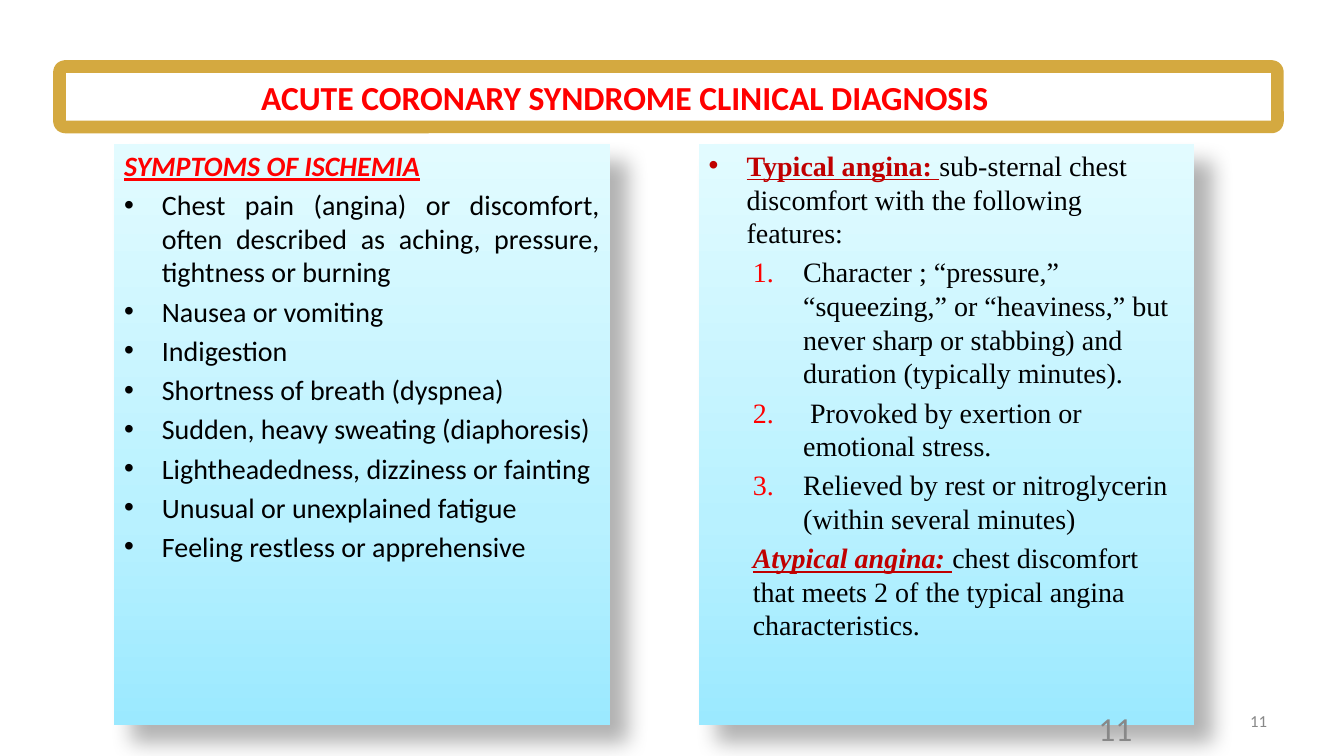
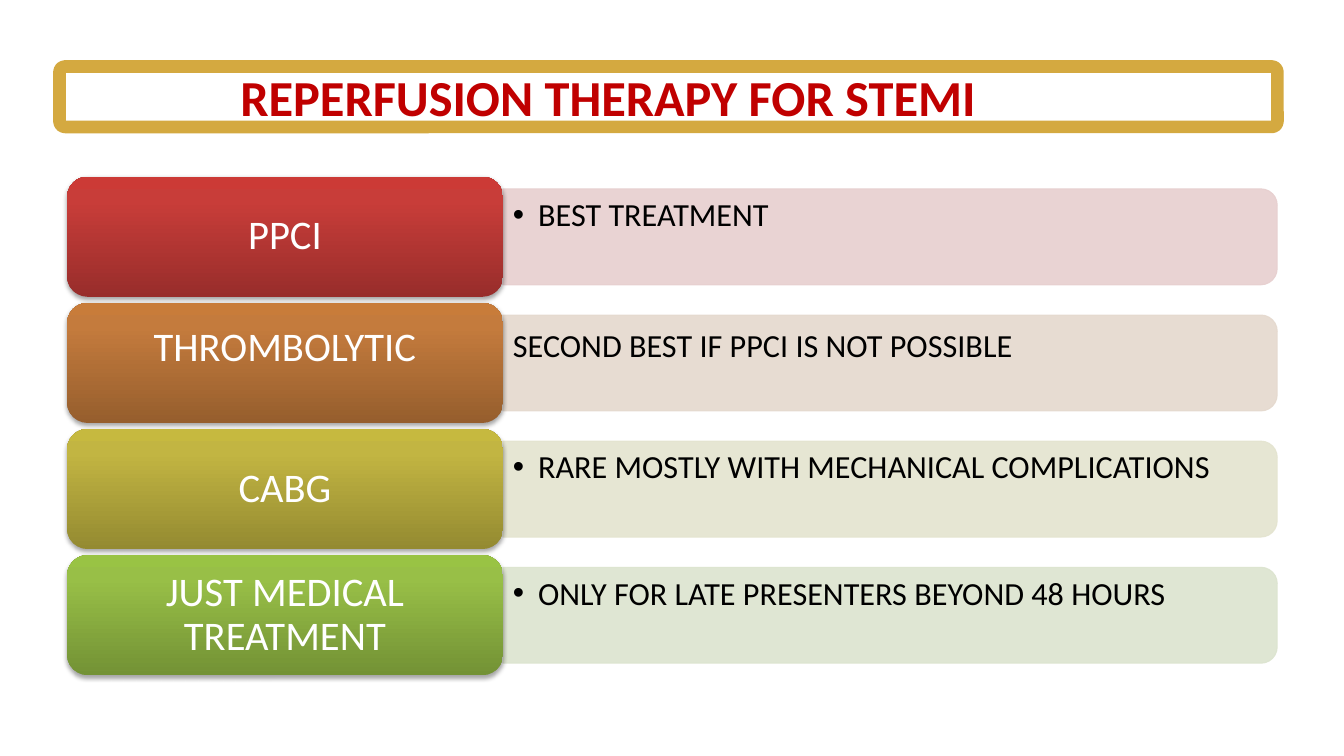
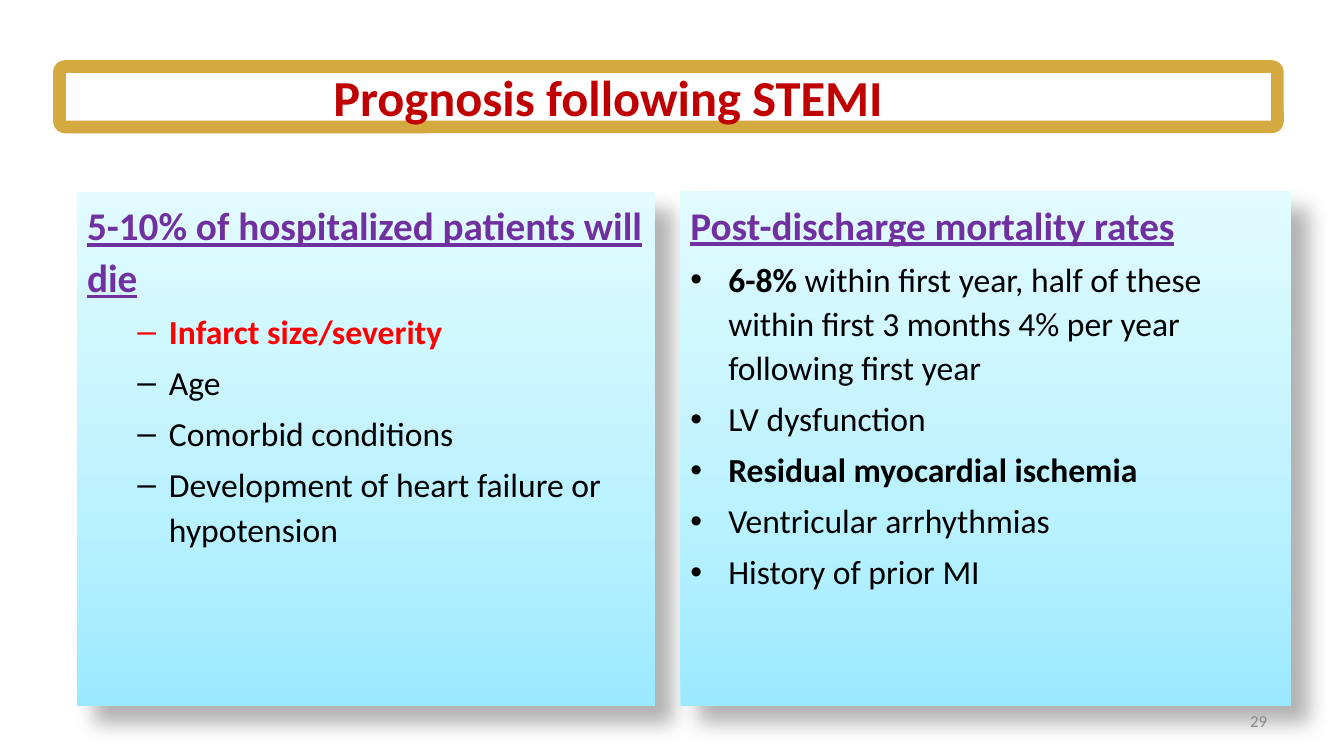
from dataclasses import dataclass
from typing import Optional

from lxml.etree import SubElement
from pptx import Presentation
from pptx.dml.color import RGBColor
from pptx.enum.shapes import MSO_SHAPE
from pptx.enum.text import MSO_ANCHOR, MSO_AUTO_SIZE, PP_ALIGN
from pptx.oxml.ns import qn
from pptx.util import Pt

LEFT, MID, RIGHT, JUST = PP_ALIGN.LEFT, PP_ALIGN.CENTER, PP_ALIGN.RIGHT, PP_ALIGN.JUSTIFY
TOP, CENTRE = MSO_ANCHOR.TOP, MSO_ANCHOR.MIDDLE
ROUND, TAB = MSO_SHAPE.ROUNDED_RECTANGLE, MSO_SHAPE.ROUND_2_SAME_RECTANGLE
FIXED = MSO_AUTO_SIZE.NONE

BLACK = RGBColor(0x00, 0x00, 0x00)
WHITE = RGBColor(0xFF, 0xFF, 0xFF)
RED = RGBColor(0xFF, 0x00, 0x00)
DARK = RGBColor(0xC0, 0x00, 0x00)
PURPLE = RGBColor(0x70, 0x30, 0xA0)
GREY = RGBColor(0x88, 0x88, 0x88)
GOLD = RGBColor(0xD4, 0xA9, 0x40)
AQUA = [(0, RGBColor(0x9B, 0xE9, 0xFF)), (35, RGBColor(0xB8, 0xF1, 0xFF)),
        (100, RGBColor(0xE2, 0xFB, 0xFF))]

SANS, SERIF = "Calibri", "Times New Roman"


@dataclass(frozen=True)
class Mark:
    tag: str
    attrs: dict
    left: float
    hang: float
    font: str = "Arial"
    hue: Optional[RGBColor] = None


DOT = Mark("a:buChar", {"char": "•"}, 27, 27)
DASH = Mark("a:buChar", {"char": "–"}, 58.5, 22.5)
SMALL = Mark("a:buChar", {"char": "•"}, 18, 18)
NUM = Mark("a:buAutoNum", {"type": "arabicPeriod"}, 67.5, 36, SERIF, RED)
PLAIN = Mark("a:buNone", {}, 0, 0)
INSET = Mark("a:buNone", {}, 31.5, 0)


@dataclass
class Line:
    """A paragraph; each run is (text, letters from "biu", colour)."""
    runs: list
    size: float
    mark: Mark = PLAIN
    align: PP_ALIGN = LEFT
    face: str = SANS


def line(text, size, mark=PLAIN, align=LEFT, style="", hue=BLACK):
    return Line([(text, style, hue)], size, mark, align)


def place(shape, box):
    shape.left, shape.top, shape.width, shape.height = map(Pt, box)


def dress(font, style, hue):
    font.bold = "b" in style
    font.italic = "i" in style
    font.underline = "u" in style
    font.color.rgb = hue


def bullet(para, mark, hue):
    props = para._p.get_or_add_pPr()
    props.set("marL", str(Pt(mark.left)))
    props.set("indent", str(Pt(-mark.hang)))
    if mark.hang:
        tint = SubElement(props, qn("a:buClr"))
        SubElement(tint, qn("a:srgbClr"), val=str(mark.hue or hue))
        SubElement(props, qn("a:buFont"), typeface=mark.font)
    SubElement(props, qn(mark.tag), mark.attrs)


def write(frame, lines, gap=0, lead=1.0, anchor=TOP):
    frame.word_wrap = True
    frame.auto_size = FIXED
    frame.vertical_anchor = anchor
    for i, item in enumerate(lines):
        para = frame.add_paragraph() if i else frame.paragraphs[0]
        bullet(para, item.mark, item.runs[0][2])
        para.alignment = item.align
        para.line_spacing = lead
        para.space_before = Pt(gap if i else 0)
        para.font.name = item.face
        para.font.size = Pt(item.size)
        for text, style, hue in item.runs:
            run = para.add_run()
            run.text = text
            dress(para.font if len(item.runs) == 1 else run.font, style, hue)


def blend(shape, stops):
    """Fill upwards with (percent, colour) stops and drop the outline."""
    shape.fill.gradient()
    shape.fill.gradient_angle = 90
    bands = shape.element.spPr.find(".//" + qn("a:gsLst"))
    for old in list(bands):
        bands.remove(old)
    for at, hue in stops:
        stop = SubElement(bands, qn("a:gs"), pos=str(at * 1000))
        SubElement(stop, qn("a:srgbClr"), val=str(hue))
    shape.line.fill.background()


def shade(shape, alpha, blur, dist, angle):
    shape.shadow.inherit = False
    effects = shape.element.spPr.find(qn("a:effectLst"))
    outer = SubElement(effects, qn("a:outerShdw"), blurRad=str(Pt(blur)),
                       dist=str(Pt(dist)), dir=str(angle * 60000),
                       algn="tl", rotWithShape="0")
    tint = SubElement(outer, qn("a:srgbClr"), val=str(BLACK))
    SubElement(tint, qn("a:alpha"), val=str(alpha * 1000))


def block(slide, kind, box, round_by):
    shape = slide.shapes.add_shape(kind, *map(Pt, box))
    shape.adjustments[0] = round_by
    shape.shadow.inherit = False
    return shape


def label(slide, box, item, lead=1.0, anchor=TOP):
    text = slide.shapes.add_textbox(*map(Pt, box))
    write(text.text_frame, [item], lead=lead, anchor=anchor)


def frame_titles(deck, slide):
    """Put the gold title frame on the master, so all slides show it."""
    band = block(slide, ROUND, (42.5, 47.5, 870, 43.2), 0.09)
    band.fill.solid()
    band.fill.fore_color.rgb = WHITE
    band.line.color.rgb = GOLD
    band.line.width = Pt(9)
    deck.slide_master.shapes.element.insert(2, band.element)


def head(slide, text, size, hue, box=(42.5, 47.5, 784, 43.2)):
    title = slide.shapes.title
    place(title, box)
    write(title.text_frame, [line(text, size, PLAIN, MID, "b", hue)], anchor=CENTRE)


def panel(slide, idx, box, lines, gap, lead=1.0):
    body = slide.placeholders[idx]
    place(body, box)
    blend(body, AQUA)
    shade(body, 30, 15, 18, 45)
    write(body.text_frame, lines, gap, lead)


def number(slide, text, size=12, box=(688.3, 500.5, 224, 28.8)):
    label(slide, box, line(text, size, PLAIN, RIGHT, "", GREY), anchor=CENTRE)


def option(slide, top, name, note, mark, deep, main, light, pale):
    """One treatment: a pale bar with a note and a glossy name tile."""
    wide, high = 553, 68.5
    x, y = 359.3, top + 8.7
    bar = block(slide, TAB, (x + (wide - high) / 2, y - (wide - high) / 2, high, wide), 0.17)
    bar.rotation = 90
    bar.fill.solid()
    bar.fill.fore_color.rgb = pale
    bar.line.color.rgb = pale
    bar.line.width = Pt(0.75)
    for tint in bar.element.spPr.iter(qn("a:srgbClr")):
        SubElement(tint, qn("a:alpha"), val="90000")
    label(slide, (x, y + 3.6, 549.4, 62), line(note, 23, mark),
          0.9 if mark is SMALL else 1.0)

    tile = block(slide, ROUND, (48, top, 311.3, 85.8), 0.17)
    blend(tile, [(0, deep), (80, main), (100, light)])
    shade(tile, 35, 3.1, 1.8, 90)
    text = tile.text_frame
    text.margin_left = text.margin_right = Pt(12.5)
    text.margin_top = text.margin_bottom = Pt(8.5)
    raised = mark is PLAIN
    write(text, [line(name, 29, PLAIN, MID, "", WHITE)],
          lead=1.0 if raised else 0.9, anchor=TOP if raised else CENTRE)


def diagnosis(slide):
    head(slide, "ACUTE CORONARY SYNDROME CLINICAL DIAGNOSIS", 24, RED,
         (15.8, 47.5, 861, 43.2))
    number(slide, "11")
    signs = [line("SYMPTOMS OF ISCHEMIA", 20, PLAIN, JUST, "biu", RED)]
    signs += [line(text, 20, DOT, JUST) for text in (
        "Chest pain (angina) or discomfort, often described as aching, "
        "pressure, tightness or burning",
        "Nausea or vomiting",
        "Indigestion")]
    signs += [line(text, 20, DOT) for text in (
        "Shortness of breath (dyspnea)",
        "Sudden, heavy sweating (diaphoresis)",
        "Lightheadedness, dizziness or fainting",
        "Unusual or unexplained fatigue",
        "Feeling restless or apprehensive")]
    kinds = [Line([("Typical angina: ", "bu", DARK),
                   ("sub-sternal chest discomfort with the following features:",
                    "", BLACK)], 20, DOT, face=SERIF)]
    kinds += [Line([(text, "", BLACK)], 20, NUM, face=SERIF) for text in (
        "Character ; “pressure,” “squeezing,” or “heaviness,” but never sharp "
        "or stabbing) and duration (typically minutes).",
        " Provoked by exertion or emotional stress.",
        "Relieved by rest or nitroglycerin (within several minutes)")]
    kinds.append(Line([("Atypical angina: ", "biu", DARK),
                       ("chest discomfort that meets 2 of the typical angina "
                        "characteristics.", "", BLACK)], 20, INSET, face=SERIF))
    panel(slide, 1, (81.4, 102.5, 354.2, 415.4), signs, 4)
    panel(slide, 2, (499, 102.5, 354.2, 415.4), kinds, 4)
    number(slide, "11", 24, (648, 505.5, 168, 28.8))


def therapy(slide):
    head(slide, "REPERFUSION THERAPY FOR STEMI", 36, DARK)
    options = [
        ("PPCI", "BEST TREATMENT", SMALL,
         RGBColor(0x98, 0x2D, 0x2B), RGBColor(0xC8, 0x3D, 0x39),
         RGBColor(0xCC, 0x3A, 0x36), RGBColor(0xE7, 0xCF, 0xCF)),
        ("THROMBOLYTIC", "SECOND BEST IF PPCI IS NOT POSSIBLE", PLAIN,
         RGBColor(0x96, 0x5E, 0x2D), RGBColor(0xC4, 0x7B, 0x3D),
         RGBColor(0xC8, 0x7C, 0x3A), RGBColor(0xE5, 0xD9, 0xCE)),
        ("CABG", "RARE MOSTLY WITH MECHANICAL COMPLICATIONS", SMALL,
         RGBColor(0x94, 0x8A, 0x31), RGBColor(0xC2, 0xB5, 0x42),
         RGBColor(0xC6, 0xB9, 0x3F), RGBColor(0xE4, 0xE4, 0xCF)),
        ("JUST MEDICAL TREATMENT", "ONLY FOR LATE PRESENTERS BEYOND 48 HOURS", SMALL,
         RGBColor(0x73, 0x92, 0x35), RGBColor(0x98, 0xBF, 0x47),
         RGBColor(0x99, 0xC3, 0x44), RGBColor(0xDC, 0xE4, 0xCF)),
    ]
    for i, item in enumerate(options):
        option(slide, 126.2 + i * 90.1, *item)


def outlook(slide):
    head(slide, "Prognosis following STEMI", 36, DARK)
    risks = [line("5-10% of hospitalized patients will die", 28, style="bu", hue=PURPLE),
             line("Infarct size/severity", 24, DASH, style="b", hue=RED)]
    risks += [line(text, 24, DASH) for text in (
        "Age", "Comorbid conditions", "Development of heart failure or hypotension")]
    rates = [line("Post-discharge mortality rates", 28, style="bu", hue=PURPLE),
             Line([("6-8%", "b", BLACK),
                   (" within first year, half of these within first 3 months "
                    "4% per year following first year", "", BLACK)], 24, DOT),
             line("LV dysfunction", 24, DOT),
             line("Residual myocardial ischemia", 24, DOT, style="b"),
             line("Ventricular arrhythmias", 24, DOT),
             line("History of prior MI", 24, DOT)]
    panel(slide, 1, (55, 137, 413, 367), risks, 4.8, 1.1)
    number(slide, "29")
    panel(slide, 2, (486, 136.5, 436.5, 367.5), rates, 4.8, 1.1)


def main():
    deck = Presentation()
    deck.slide_width, deck.slide_height = Pt(960), Pt(540)
    pair, bare = deck.slide_layouts[3], deck.slide_layouts[5]
    first = deck.slides.add_slide(pair)
    frame_titles(deck, first)
    diagnosis(first)
    therapy(deck.slides.add_slide(bare))
    outlook(deck.slides.add_slide(pair))
    deck.save("out.pptx")


if __name__ == "__main__":
    main()
